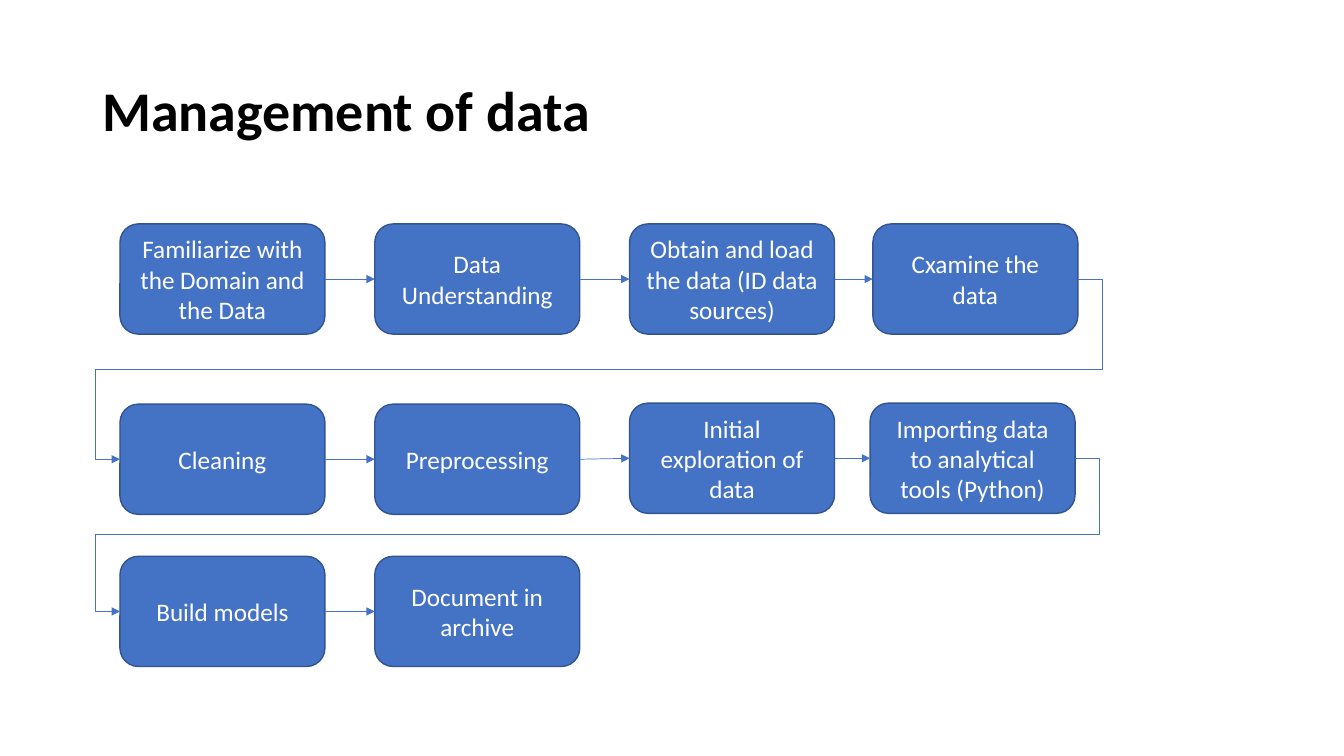
from pptx import Presentation
from pptx.dml.color import RGBColor
from pptx.enum.shapes import MSO_CONNECTOR, MSO_SHAPE
from pptx.enum.text import MSO_ANCHOR, PP_ALIGN
from pptx.oxml.ns import qn
from pptx.util import Pt
from lxml.etree import SubElement

BLUE = RGBColor(0x44, 0x72, 0xC4)
BORDER = RGBColor(0x32, 0x54, 0x91)
BLACK = RGBColor(0, 0, 0)
WHITE = RGBColor(0xFF, 0xFF, 0xFF)

BOX_W, BOX_H = 146.4, 78.7
TURN = 18  # distance a row change runs out beside the boxes
LEFT, RIGHT = 1, 3  # connection sites

# Steps by row, as (text, left, top) relative to the flow area
ROWS = [
    [("Familiarize with the Domain and the Data", 0, 0),
     ("Data Understanding", 182, 0),
     ("Obtain and load the data (ID data sources)", 364, 0),
     ("Cxamine the data", 537.8, 0)],
    [("Cleaning", 0, 128.7),
     ("Preprocessing", 182, 128.7),
     ("Initial exploration of data", 364, 128),
     ("Importing data to analytical tools (Python)", 535.8, 128)],
    [("Build models", 0, 237.4),
     ("Document in archive", 182, 237.4)],
]


def add_text(tf, text, size=18, color=WHITE, bold=False, align=PP_ALIGN.CENTER,
             spacing=1.0):
    tf.word_wrap = True
    tf.vertical_anchor = MSO_ANCHOR.MIDDLE
    p = tf.paragraphs[0]
    p.alignment = align
    p.line_spacing = spacing
    r = p.add_run()
    r.text = text
    r.font.name = "Calibri"
    r.font.size = Pt(size)
    r.font.bold = bold
    r.font.color.rgb = color


def add_title(s, left, top, width, height):
    sp = s.shapes.add_textbox(Pt(left), Pt(top), Pt(width), Pt(height))
    add_text(sp.text_frame, "Management of data", size=40, color=BLACK,
             bold=True, align=PP_ALIGN.LEFT, spacing=0.9)


def add_step(s, text, left, top):
    sp = s.shapes.add_shape(MSO_SHAPE.ROUNDED_RECTANGLE, Pt(left), Pt(top),
                            Pt(BOX_W), Pt(BOX_H))
    sp.shadow.inherit = False
    sp.fill.solid()
    sp.fill.fore_color.rgb = BLUE
    sp.line.color.rgb = BORDER
    sp.line.width = Pt(1)
    add_text(sp.text_frame, text)
    return sp


def add_arrow(s, start, end, kind=MSO_CONNECTOR.STRAIGHT):
    c = s.shapes.add_connector(kind, 0, 0, 0, 0)
    c.begin_connect(start, RIGHT)
    c.end_connect(end, LEFT)
    c.line.color.rgb = BLUE
    c.line.width = Pt(0.5)
    spPr = c.element.spPr
    SubElement(spPr.find(qn("a:ln")), qn("a:tailEnd"), type="triangle")
    SubElement(spPr, qn("a:effectLst"))
    return c


def add_row_change(s, start, end):
    c = add_arrow(s, start, end, MSO_CONNECTOR.ELBOW)
    geom = c.element.spPr.find(qn("a:prstGeom"))
    geom.set("prst", "bentConnector5")
    av = geom.find(qn("a:avLst"))
    if av is None:
        av = SubElement(geom, qn("a:avLst"))
    out = round(100000 * Pt(TURN) / c.width)
    for i, value in enumerate((-out, 50000, 100000 + out), 1):
        SubElement(av, qn("a:gd"), name=f"adj{i}", fmla=f"val {value}")


def add_flow(s, left, top):
    last = None
    for row in ROWS:
        steps = [add_step(s, text, left + x, top + y) for text, x, y in row]
        for start, end in zip(steps, steps[1:]):
            add_arrow(s, start, end)
        if last is not None:
            add_row_change(s, last, steps[0])
        last = steps[-1]


def main():
    prs = Presentation()
    prs.slide_width, prs.slide_height = Pt(960), Pt(540)
    s = prs.slides.add_slide(prs.slide_layouts[6])
    add_title(s, 66, 28.8, 828, 104.4)
    add_flow(s, 85.7, 160)
    prs.save("out.pptx")


if __name__ == "__main__":
    main()
